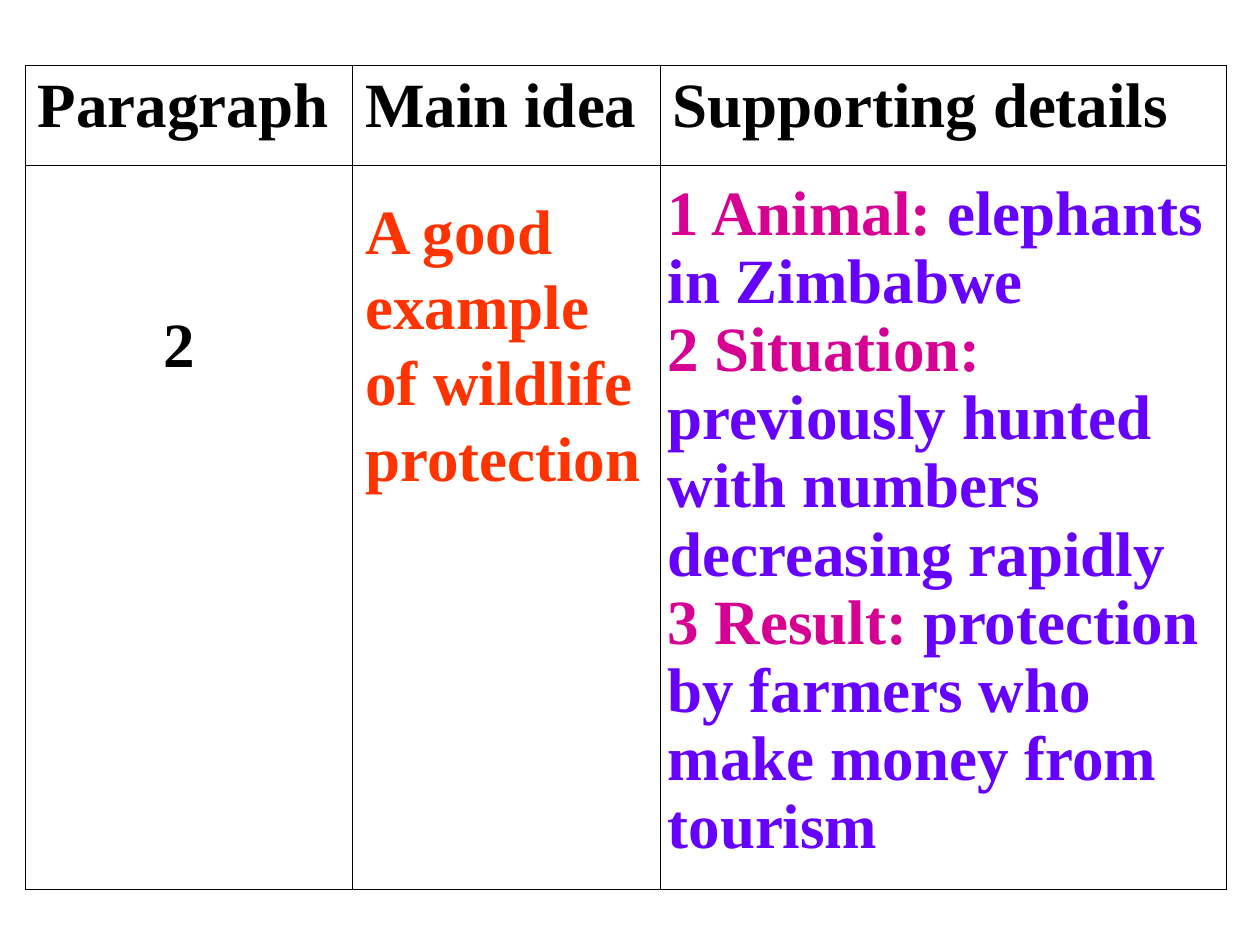
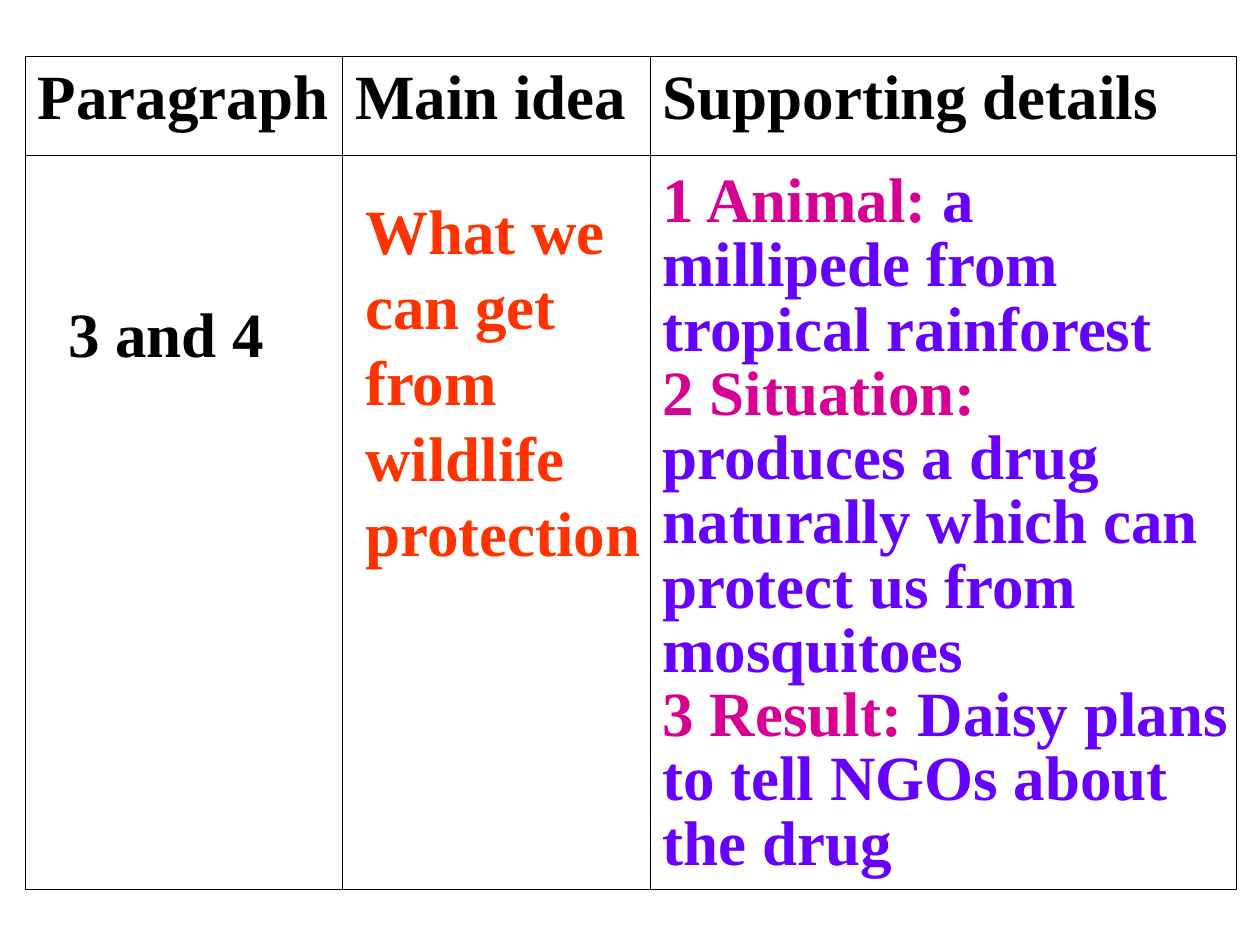
from dataclasses import dataclass

from lxml.etree import SubElement
from pptx import Presentation
from pptx.dml.color import RGBColor
from pptx.oxml.ns import qn
from pptx.util import Inches, Length, Pt


@dataclass(frozen=True)
class Theme:
    font: str = "Times New Roman"
    size: Length = Pt(36)
    ink: RGBColor = RGBColor(0x00, 0x00, 0x00)
    idea: RGBColor = RGBColor(0xFF, 0x33, 0x00)
    label: RGBColor = RGBColor(0xD6, 0x00, 0x93)
    detail: RGBColor = RGBColor(0x66, 0x00, 0xFF)
    border: str = "000000"
    border_width: Length = Pt(0.45)


@dataclass(frozen=True)
class Box:
    left: float
    top: float
    width: float
    height: float

    def lengths(self) -> tuple[Length, ...]:
        return tuple(Inches(v) for v in (self.left, self.top, self.width, self.height))


@dataclass(frozen=True)
class ReadingSlide:
    table: Box
    columns: tuple[float, ...]
    rows: tuple[float, ...]
    number: str
    number_indent: float
    idea: str
    idea_box: Box
    details: tuple[tuple[str, str], ...]
    details_box: Box
    details_spacing: float


THEME = Theme()
HEADINGS = ("Paragraph", "Main idea", "Supporting details")
NUMBER_DROP = 1.16

SLIDES = (
    ReadingSlide(
        table=Box(0.2, 0.52, 9.53, 6.54),
        columns=(2.6, 2.44, 4.49),
        rows=(0.79, 5.75),
        number="2",
        number_indent=1.1,
        idea="A good example of wildlife protection",
        idea_box=Box(2.8, 1.47, 2.44, 2.5),
        details=(
            ("1 Animal: ", "elephants in Zimbabwe"),
            ("2 Situation: ", "previously hunted with numbers decreasing rapidly"),
            ("3 Result: ", "protection by farmers who make money from tourism"),
        ),
        details_box=Box(5.2, 1.39, 4.72, 5.5),
        details_spacing=0.9,
    ),
    ReadingSlide(
        table=Box(0.2, 0.45, 9.61, 6.61),
        columns=(2.52, 2.44, 4.65),
        rows=(0.78, 5.83),
        number="3 and 4",
        number_indent=0.34,
        idea="What we can get from wildlife protection",
        idea_box=Box(2.8, 1.47, 2.52, 3.1),
        details=(
            ("1 Animal: ", "a millipede from tropical rainforest"),
            ("2 Situation: ",
             "produces a drug naturally which can protect us from mosquitoes"),
            ("3 Result: ", "Daisy plans to tell NGOs about the drug"),
        ),
        details_box=Box(5.16, 1.31, 4.73, 5.71),
        details_spacing=0.85,
    ),
)


def style(font, color: RGBColor) -> None:
    font.name = THEME.font
    font.size = THEME.size
    font.bold = True
    font.color.rgb = color


def outline_cell(cell) -> None:
    """Leave the cell unfilled, with a thin line on all four sides."""
    properties = cell._tc.get_or_add_tcPr()
    for side in ("lnL", "lnR", "lnT", "lnB"):
        line = SubElement(properties, qn(f"a:{side}"), w=str(int(THEME.border_width)))
        fill = SubElement(line, qn("a:solidFill"))
        SubElement(fill, qn("a:srgbClr"), val=THEME.border)
    cell.fill.background()


def write_cell(cell, text: str) -> None:
    cell.text_frame.text = text
    style(cell.text_frame.paragraphs[0].runs[0].font, THEME.ink)


def add_grid(slide, content: ReadingSlide) -> None:
    table = slide.shapes.add_table(
        len(content.rows), len(content.columns), *content.table.lengths()).table
    table.first_row = table.horz_banding = False
    for column, width in zip(table.columns, content.columns):
        column.width = Inches(width)
    for row, height in zip(table.rows, content.rows):
        row.height = Inches(height)
    for cell in table.iter_cells():
        outline_cell(cell)
    for index, heading in enumerate(HEADINGS):
        write_cell(table.cell(0, index), heading)
    number = table.cell(1, 0)
    number.margin_left = Inches(content.number_indent)
    number.margin_top = Inches(NUMBER_DROP)
    write_cell(number, content.number)


def add_text_frame(slide, box: Box):
    frame = slide.shapes.add_textbox(*box.lengths()).text_frame
    frame.word_wrap = True
    return frame


def add_idea(slide, content: ReadingSlide) -> None:
    frame = add_text_frame(slide, content.idea_box)
    frame.text = content.idea
    style(frame.paragraphs[0].runs[0].font, THEME.idea)


def add_details(slide, content: ReadingSlide) -> None:
    frame = add_text_frame(slide, content.details_box)
    for index, parts in enumerate(content.details):
        paragraph = frame.add_paragraph() if index else frame.paragraphs[0]
        paragraph.line_spacing = content.details_spacing
        for text, color in zip(parts, (THEME.label, THEME.detail)):
            run = paragraph.add_run()
            run.text = text
            style(run.font, color)


def main() -> None:
    deck = Presentation()
    deck.slide_width, deck.slide_height = Inches(10), Inches(7.5)
    blank = deck.slide_layouts[6]
    for content in SLIDES:
        slide = deck.slides.add_slide(blank)
        add_grid(slide, content)
        add_idea(slide, content)
        add_details(slide, content)
    deck.save("out.pptx")


if __name__ == "__main__":
    main()
